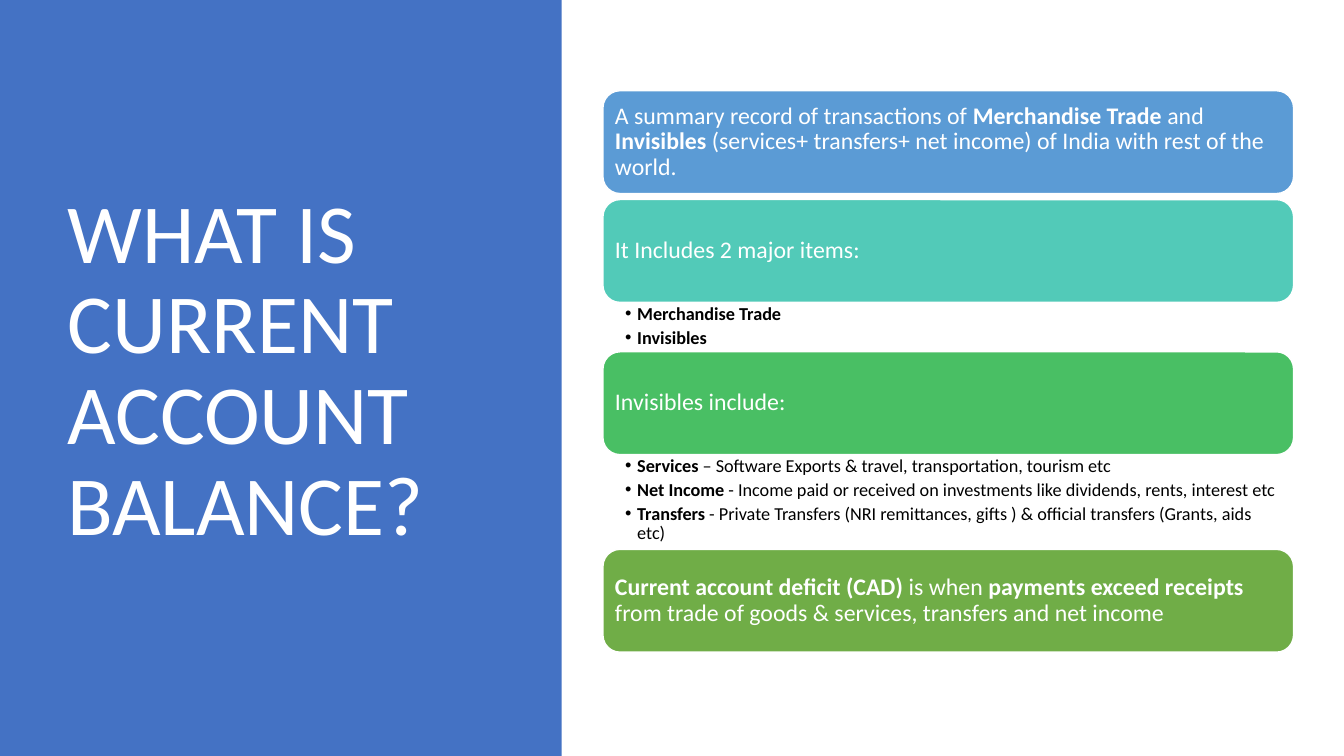
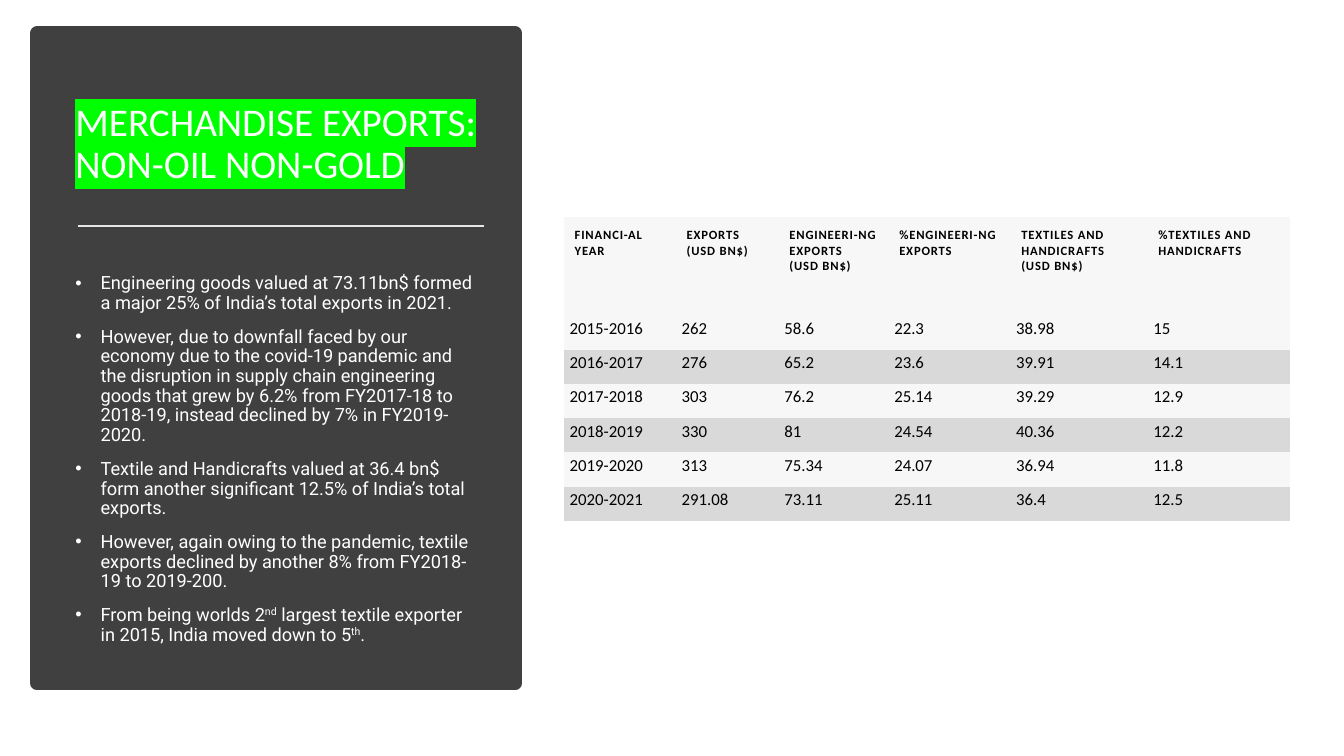
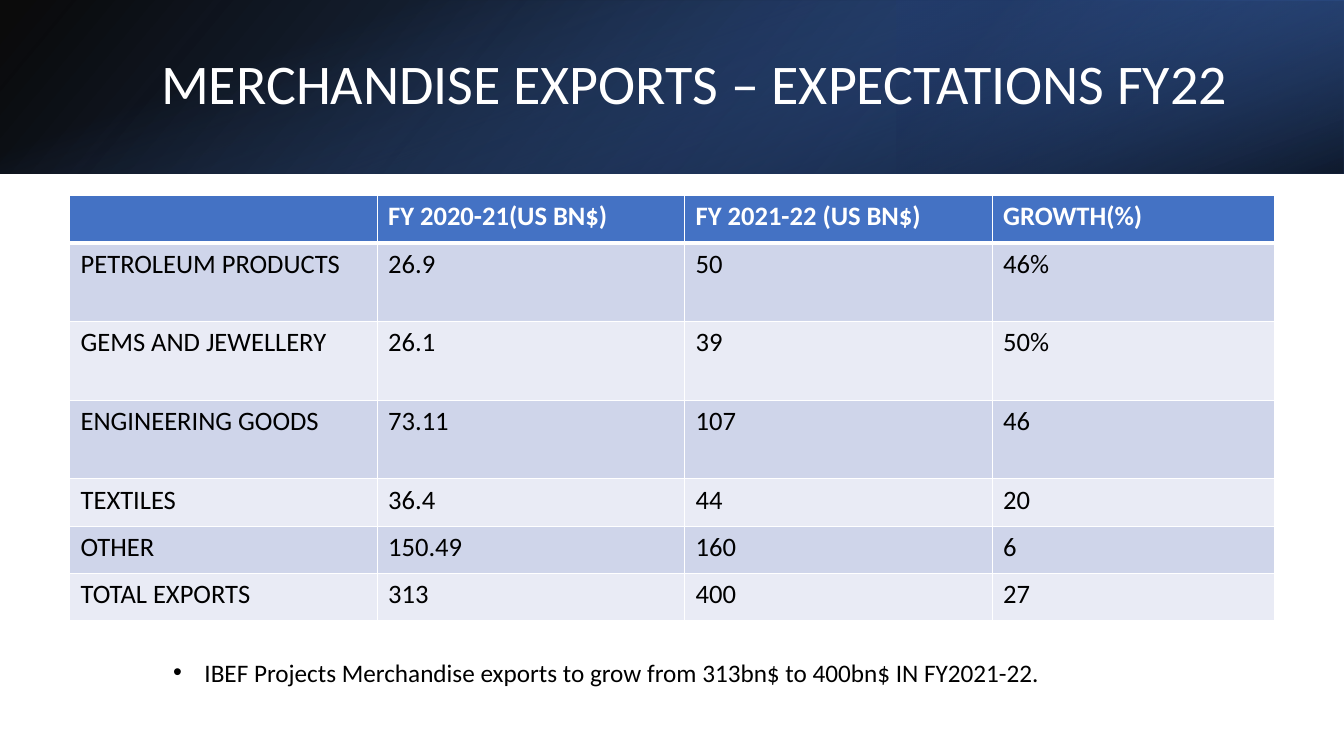
"""Build three slides on India's current account and merchandise exports."""
from dataclasses import dataclass

from lxml import etree
from pptx import Presentation
from pptx.dml.color import RGBColor
from pptx.enum.shapes import MSO_CONNECTOR, MSO_SHAPE
from pptx.enum.text import MSO_ANCHOR
from pptx.oxml.ns import qn
from pptx.util import Emu, Pt

RECT = MSO_SHAPE.RECTANGLE
ROUNDED = MSO_SHAPE.ROUNDED_RECTANGLE
STRAIGHT = MSO_CONNECTOR.STRAIGHT
TOP = MSO_ANCHOR.TOP
MIDDLE = MSO_ANCHOR.MIDDLE
EMU_PER_PX = 9144
WIDTH, HEIGHT = 1333, 750
NO_GRID_STYLE = "{2D5ABB26-0587-4C30-8999-92F81FD0307C}"
BOLD = {"bold": True}
RAISED = {"baseline": 30}


@dataclass(frozen=True)
class Theme:
    """Colours, fonts and type sizes of the deck."""
    white: str = "FFFFFF"
    black: str = "000000"
    blue: str = "4472C4"
    navy: str = "203864"
    deep_blue: str = "2F5597"
    sky: str = "5B9BD5"
    teal: str = "52CAB8"
    emerald: str = "49BF64"
    leaf: str = "70AD47"
    charcoal: str = "404040"
    rule: str = "E7E6E6"
    highlight: str = "00FF00"
    grey_rows: tuple = ("F7F7F7", "D9D9D9")
    blue_rows: tuple = ("E9EBF5", "CFD5EA")
    font: str = "Calibri"
    body_font: str = "Roboto"
    cover_title: int = 60
    band_title: int = 40
    panel_title: int = 28
    big_cell: int = 19
    note: int = 18
    card: int = 17
    bullet: int = 13
    cell: int = 12
    head_cell: int = 9


THEME = Theme()

CARDS = [
    (THEME.sky,
     ["A summary record of transactions of ", ("Merchandise Trade", BOLD), " and ",
      ("Invisibles", BOLD),
      " (services+ transfers+ net income) of India with rest of the world."],
     [], 6),
    (THEME.teal, "It Includes 2 major items:",
     [[("Merchandise Trade", BOLD)], [("Invisibles", BOLD)]], 49),
    (THEME.emerald, "Invisibles include:",
     [[("Services", BOLD), " – Software Exports & travel, transportation, tourism etc"],
      [("Net Income", BOLD),
       " - Income paid or received on investments like dividends, rents, interest etc"],
      [("Transfers", BOLD),
       " - Private Transfers (NRI remittances, gifts ) & official transfers "
       "(Grants, aids etc)"]], 94),
    (THEME.leaf,
     [("Current account deficit (CAD)", BOLD), " is when ",
      ("payments exceed receipts", BOLD),
      " from trade of goods & services, transfers and net income"], [], 0),
]

EXPORT_POINTS = [
    "Engineering goods valued at 73.11bn$ formed a major 25% of India’s total exports in 2021.",
    "However, due to downfall faced by our economy due to the covid-19 pandemic and the "
    "disruption in supply chain engineering goods that grew by 6.2% from FY2017-18 to "
    "2018-19, instead declined by 7% in FY2019-2020.",
    "Textile and Handicrafts valued at 36.4 bn$ form another significant 12.5% of India’s "
    "total exports.",
    "However, again owing to the pandemic, textile exports declined by another 8% from "
    "FY2018-19 to 2019-200.",
    ["From being worlds 2", ("nd", RAISED),
     " largest textile exporter in 2015, India moved down to 5", ("th", RAISED), "."],
]

EXPORT_ROWS = [
    [["FINANCI-AL", "YEAR"], ["EXPORTS", "(USD BN$)"],
     ["ENGINEERI-NG EXPORTS", "(USD BN$)"], ["%ENGINEERI-NG EXPORTS"],
     ["TEXTILES AND HANDICRAFTS", "(USD BN$)"], ["%TEXTILES AND HANDICRAFTS"]],
    ["2015-2016", "262", "58.6", "22.3", "38.98", "15"],
    ["2016-2017", "276", "65.2", "23.6", "39.91", "14.1"],
    ["2017-2018", "303", "76.2", "25.14", "39.29", "12.9"],
    ["2018-2019", "330", "81", "24.54", "40.36", "12.2"],
    ["2019-2020", "313", "75.34", "24.07", "36.94", "11.8"],
    ["2020-2021", "291.08", "73.11", "25.11", "36.4", "12.5"],
]

OUTLOOK_ROWS = [
    ["", "FY 2020-21(US BN$)", "FY 2021-22 (US BN$)", "GROWTH(%)"],
    ["PETROLEUM PRODUCTS", "26.9", "50", "46%"],
    ["GEMS AND JEWELLERY", "26.1", "39", "50%"],
    ["ENGINEERING GOODS", "73.11", "107", "46"],
    ["TEXTILES", "36.4", "44", "20"],
    ["OTHER", "150.49", "160", "6"],
    ["TOTAL EXPORTS", "313", "400", "27"],
]


def px(length):
    """Turn whole pixels into EMU."""
    return Emu(length * EMU_PER_PX)


def rgb(colour):
    """Turn a hex string into a colour."""
    return RGBColor.from_string(colour)


def set_margins(target, margins):
    """Set left, top, right and bottom margins of a frame or cell."""
    sides = ("left", "top", "right", "bottom")
    for side, margin in zip(sides, margins):
        setattr(target, f"margin_{side}", px(margin))


def add_colour(parent, colour, alpha=100):
    """Append a colour element with its opacity in percent."""
    node = etree.SubElement(parent, qn("a:srgbClr"), val=colour)
    if alpha < 100:
        etree.SubElement(node, qn("a:alpha"), val=str(alpha * 1000))


def write_span(para, text, size, colour, font=THEME.font, bold=False,
               baseline=0, tracking=0, highlight=None):
    """Add one formatted run to a paragraph."""
    span = para.add_run()
    span.text = text
    span.font.size = Pt(size)
    span.font.name = font
    span.font.bold = bold
    span.font.color.rgb = rgb(colour)
    props = span.font._element
    if baseline:
        props.set("baseline", str(baseline * 1000))
    if tracking:
        props.set("spc", str(tracking))
    if highlight:
        mark = etree.Element(qn("a:highlight"))
        add_colour(mark, highlight)
        props.find(qn("a:solidFill")).addnext(mark)


def write_text(frame, paragraphs, *, spacing=1.0, before=0, after=0, indent=0, **style):
    """Fill a frame with paragraphs of spans; an indent brings a bullet."""
    frame.word_wrap = True
    for index, spans in enumerate(paragraphs):
        para = frame.add_paragraph() if index else frame.paragraphs[0]
        if indent:
            props = para._p.get_or_add_pPr()
            props.set("marL", str(px(indent)))
            props.set("indent", str(-px(indent)))
            etree.SubElement(props, qn("a:buFont"), typeface="Arial")
            etree.SubElement(props, qn("a:buChar"), char="•")
        para.line_spacing = spacing
        para.space_before = Pt(before if index else 0)
        para.space_after = Pt(after)
        for span in [spans] if isinstance(spans, str) else spans:
            text, changes = (span, {}) if isinstance(span, str) else span
            write_span(para, text, **{**style, **changes})


def add_text(page, area, paragraphs, *, anchor=TOP, margins=(10, 5, 10, 5), **style):
    """Add a text box."""
    frame = page.shapes.add_textbox(*map(px, area)).text_frame
    frame.vertical_anchor = anchor
    set_margins(frame, margins)
    write_text(frame, paragraphs, **style)


def add_title(page, area, text, size, highlight=None):
    """Add a slide title in the shared style."""
    add_text(page, area, [text], anchor=MIDDLE, size=size, colour=THEME.white,
             spacing=0.9, highlight=highlight)


def add_box(page, area, fill=None, kind=RECT, line=None, weight=1):
    """Add a preset shape without shadow."""
    box = page.shapes.add_shape(kind, *map(px, area))
    box.shadow.inherit = False
    if fill:
        box.fill.solid()
        box.fill.fore_color.rgb = rgb(fill)
    if line:
        box.line.color.rgb = rgb(line)
        box.line.width = Pt(weight)
    else:
        box.line.fill.background()
    return box


def add_gradient_box(page, area, stops, angle, rotation=0, flip=False):
    """Add a rectangle with a linear gradient of (position, colour, opacity) stops."""
    box = add_box(page, area)
    box.rotation = rotation
    props = box._element.spPr
    if flip:
        props.find(qn("a:xfrm")).set("flipH", "1")
    gradient = etree.Element(qn("a:gradFill"))
    stop_list = etree.SubElement(gradient, qn("a:gsLst"))
    for position, colour, alpha in stops:
        stop = etree.SubElement(stop_list, qn("a:gs"), pos=str(position * 1000))
        add_colour(stop, colour, alpha)
    etree.SubElement(gradient, qn("a:lin"), ang=str(angle * 60000), scaled="0")
    props.find(qn("a:prstGeom")).addnext(gradient)


def add_rule(page, left, right, y, colour, weight):
    """Add a horizontal line."""
    rule = page.shapes.add_connector(STRAIGHT, px(left), px(y), px(right), px(y))
    rule.line.color.rgb = rgb(colour)
    rule.line.width = Pt(weight)
    etree.SubElement(rule._element.spPr, qn("a:effectLst"))


def set_borders(cell, colour, **weights):
    """Draw the cell borders, given in points for L, R, T and B."""
    props = cell._tc.get_or_add_tcPr()
    for index, (side, weight) in enumerate(weights.items()):
        border = etree.Element(qn(f"a:ln{side}"), w=str(Pt(weight)))
        fill = etree.SubElement(border, qn("a:solidFill"))
        add_colour(fill, colour)
        props.insert(index, border)


def add_grid(page, left, top, widths, heights, rows, *, head_fill, row_fills,
             head_style, body_style, head_margins, body_margins, border=None):
    """Add a table with one head row and alternating body rows."""
    shape = page.shapes.add_table(len(rows), len(widths), px(left), px(top),
                                  px(sum(widths)), px(sum(heights)))
    table = shape.table
    table.first_row = table.horz_banding = False
    table._tbl.tblPr.find(qn("a:tableStyleId")).text = NO_GRID_STYLE
    for column, width in zip(table.columns, widths):
        column.width = px(width)
    for index, (height, values) in enumerate(zip(heights, rows)):
        table.rows[index].height = px(height)
        head = index == 0
        for cell, value in zip(table.rows[index].cells, values):
            set_margins(cell, head_margins if head else body_margins)
            cell.fill.solid()
            cell.fill.fore_color.rgb = rgb(head_fill if head else row_fills[index % 2])
            if value:
                paragraphs = [value] if isinstance(value, str) else value
                write_text(cell.text_frame, paragraphs,
                           **(head_style if head else body_style))
            if border:
                set_borders(cell, border, L=1, R=1, T=3 if index == 1 else 1,
                            B=3 if head else 1)


def add_cards(page, left, top, width, height):
    """Stack the cards, each followed by its bullets or by a gap."""
    for fill, text, bullets, below in CARDS:
        card = add_box(page, (left, top, width, height), fill, ROUNDED, THEME.white)
        card.text_frame.vertical_anchor = MIDDLE
        set_margins(card.text_frame, (7, 7, 7, 7))
        write_text(card.text_frame, [text], size=THEME.card, colour=THEME.white,
                   spacing=0.9)
        card.text_frame.paragraphs[0].alignment = 1
        top += height
        if bullets:
            add_text(page, (left, top, width, below), bullets, margins=(22, 2, 13, 2),
                     size=THEME.bullet, colour=THEME.black, spacing=0.9, after=3,
                     indent=12)
        top += below


def build_definition(page):
    """Explain the current account balance."""
    add_box(page, (0, 0, 557, HEIGHT), THEME.blue)
    add_title(page, (57, 68, 416, 602), "WHAT IS CURRENT ACCOUNT BALANCE?",
              THEME.cover_title)
    add_cards(page, 598, 90, 685, 102)


def build_exports(page):
    """Show non-oil, non-gold exports by year."""
    add_box(page, (37, 33, 474, 645), THEME.charcoal, line=THEME.charcoal, weight=10)
    add_title(page, (65, 70, 418, 147), "MERCHANDISE EXPORTS: NON-OIL NON-GOLD",
              THEME.panel_title, THEME.highlight)
    add_rule(page, 77, 480, 224, THEME.rule, 1.75)
    add_text(page, (65, 267, 416, 378), EXPORT_POINTS, size=THEME.bullet,
             colour=THEME.white, font=THEME.body_font, spacing=0.9, before=10, indent=25)
    add_grid(page, 559, 215, [111, 102, 109, 121, 136, 142], [98] + [34] * 6,
             EXPORT_ROWS, head_fill=THEME.grey_rows[0],
             row_fills=THEME.grey_rows[::-1],
             head_style={"size": THEME.head_cell, "colour": THEME.black,
                         "bold": True, "tracking": 60},
             body_style={"size": THEME.cell, "colour": THEME.black},
             head_margins=(11, 11, 11, 11), body_margins=(6, 3, 6, 8))


def build_outlook(page):
    """Show export expectations for FY22."""
    band = 172
    add_gradient_box(page, (0, 0, WIDTH, band),
                     [(0, THEME.black, 96), (100, THEME.deep_blue, 100)], 140, flip=True)
    add_gradient_box(page, (889, 0, 444, band),
                     [(19, THEME.navy, 68), (100, THEME.blue, 79)], 320,
                     rotation=180, flip=True)
    add_gradient_box(page, (580, -580, band, WIDTH),
                     [(23, THEME.blue, 0), (99, THEME.black, 74)], 340, rotation=90)
    add_title(page, (150, 38, 1098, 96), "MERCHANDISE EXPORTS – EXPECTATIONS FY22",
              THEME.band_title)
    margins = (11, 5, 11, 5)
    add_grid(page, 69, 194, [305, 305, 305, 280], [47] + [78] * 3 + [47] * 3,
             OUTLOOK_ROWS, head_fill=THEME.blue, row_fills=THEME.blue_rows,
             head_style={"size": THEME.big_cell, "colour": THEME.white, "bold": True},
             body_style={"size": THEME.big_cell, "colour": THEME.black},
             head_margins=margins, body_margins=margins, border=THEME.white)
    add_text(page, (162, 647, 1007, 40),
             ["IBEF Projects Merchandise exports to grow from 313bn$ to 400bn$ "
              "IN FY2021-22."],
             size=THEME.note, colour=THEME.black, indent=31)


def main():
    """Build and save the deck."""
    deck = Presentation()
    deck.slide_width, deck.slide_height = px(WIDTH), px(HEIGHT)
    blank = deck.slide_layouts[6]
    for build in (build_definition, build_exports, build_outlook):
        build(deck.slides.add_slide(blank))
    deck.save("out.pptx")


if __name__ == "__main__":
    main()
